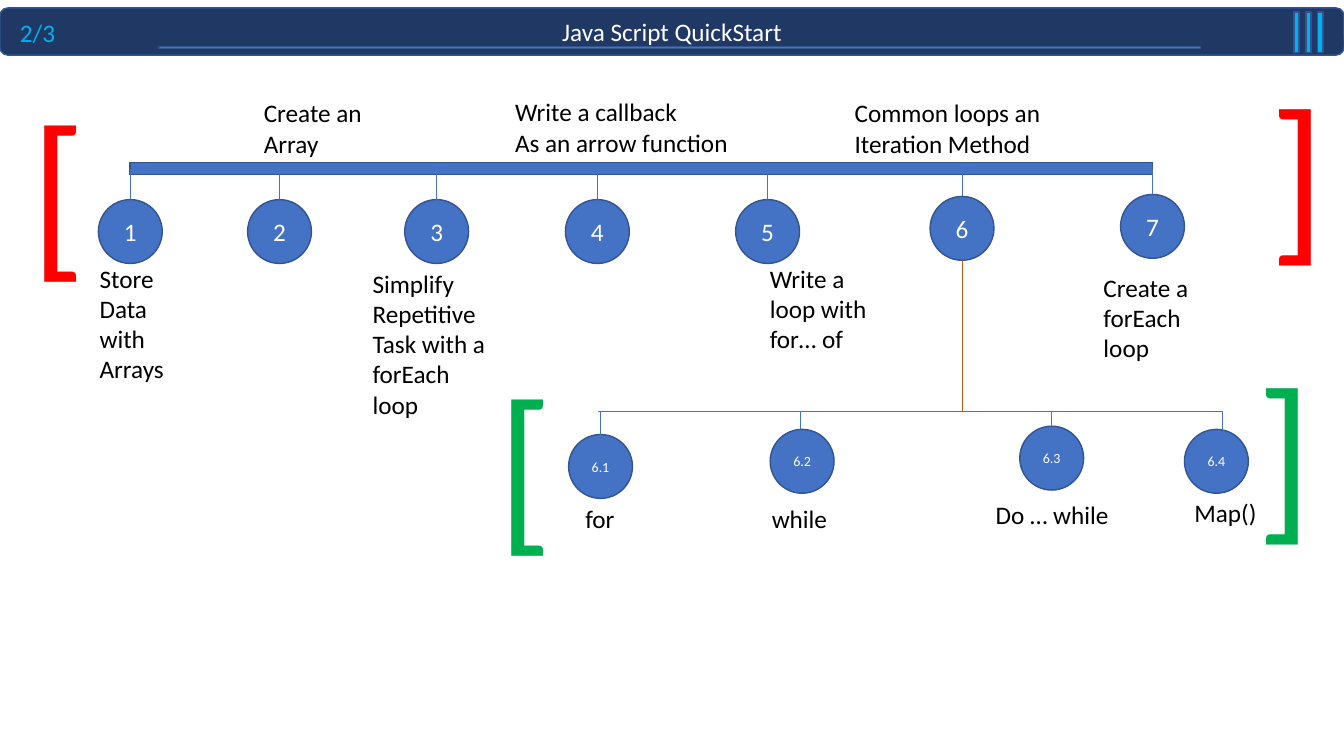
from dataclasses import dataclass

from lxml.etree import SubElement
from pptx import Presentation
from pptx.dml.color import RGBColor as RGB
from pptx.enum.shapes import MSO_CONNECTOR as CONN, MSO_SHAPE as SHAPE
from pptx.enum.text import MSO_ANCHOR as ANCHOR, MSO_AUTO_SIZE as AUTO, PP_ALIGN as ALIGN
from pptx.oxml.ns import qn
from pptx.util import Cm, Pt


@dataclass(frozen=True)
class Theme:
    font: str = "Calibri"
    navy: str = "203864"
    blue: str = "4472C4"
    outline: str = "325491"
    cyan: str = "00B0F0"
    orange: str = "C55A11"
    red: str = "FF0000"
    green: str = "00B050"
    white: str = "FFFFFF"
    black: str = "000000"
    body: int = 18
    small: int = 10
    bracket: int = 130


T = Theme()
prs = Presentation()
prs.slide_width, prs.slide_height = Cm(33.87), Cm(19.05)
s = prs.slides.add_slide(prs.slide_layouts[6])


def write(sp, text, size, color, align=ALIGN.LEFT, **frame):
    """Fill a shape with one paragraph per line; frame holds text frame settings."""
    tf = sp.text_frame
    tf.text = text
    for name, value in frame.items():
        setattr(tf, name, value)
    for p in tf.paragraphs:
        p.alignment = align
        for r in p.runs:
            for name, value in {"name": T.font, "size": Pt(size)}.items():
                setattr(r.font, name, value)
            r.font.color.rgb = RGB.from_string(color)


def add_block(kind, box, fill, text="", size=T.body):
    sp = s.shapes.add_shape(kind, *map(Cm, box))
    sp.shadow.inherit = False
    sp.fill.solid()
    sp.fill.fore_color.rgb = RGB.from_string(fill)
    sp.line.color.rgb = RGB.from_string(T.outline)
    sp.line.width = Pt(1)
    if text:
        write(sp, text, size, T.white, ALIGN.CENTER, vertical_anchor=ANCHOR.MIDDLE)


# Header
add_block(SHAPE.ROUNDED_RECTANGLE, (0, 0.2, 33.87, 1.19), T.navy, "Java Script QuickStart")
add_block(SHAPE.RECTANGLE, (4.01, 1.17, 26.24, 0.05), T.blue)
for i in range(3):
    add_block(SHAPE.RECTANGLE, (32.61 + 0.3 * i, 0.3, 0.13, 1.02), T.cyan)

# Timeline: steps hang from the bar, loop kinds hang from the branch under step 6
DIAMETER = 1.61
BAR_Y, BRANCH_Y = 4.25, 10.36
steps = [(2.48, 5.03), (6.24, 5.03), (10.2, 5.03), (14.25, 5.03),
         (18.54, 5.03), (23.44, 4.95), (28.24, 4.9)]
loop_kinds = [(14.33, 10.95, 15.14), (19.41, 10.82, 20.17),
              (25.7, 10.74, 26.5), (29.85, 10.82, 30.81)]

add_block(SHAPE.RECTANGLE, (3.28, 4.1, 25.76, 0.3), T.blue)
lines = [(15.06, BRANCH_Y, 30.81, BRANCH_Y, T.blue),
         (24.26, 6.55, 24.26, BRANCH_Y, T.orange)]
for n, (x, y) in enumerate(steps, 1):
    add_block(SHAPE.OVAL, (x, y, DIAMETER, DIAMETER), T.blue, str(n))
    stem_x = x + DIAMETER / 2
    lines.append((stem_x, BAR_Y, stem_x, y, T.blue))
for n, (x, y, stem_x) in enumerate(loop_kinds, 1):
    add_block(SHAPE.OVAL, (x, y, DIAMETER, DIAMETER), T.blue, f"6.{n}", T.small)
    lines.append((stem_x, BRANCH_Y, stem_x, y, T.blue))

for *ends, color in lines:
    line = s.shapes.add_connector(CONN.STRAIGHT, *map(Cm, ends))
    line.line.color.rgb = RGB.from_string(color)
    line.line.width = Pt(0.5)
    SubElement(line._element.spPr, qn("a:effectLst"))

# Labels: text, left, top, width, height, wrap, colour
labels = [
    ("2/3", 0.25, 0.3, 1.42, 1.02, False, T.cyan),
    ("Store Data with\nArrays", 2.26, 6.5, 2.51, 3.33, True, T.black),
    ("Create an Array", 6.4, 2.34, 3.43, 1.8, True, T.black),
    ("Simplify Repetitive\nTask with a forEach loop", 9.14, 6.63, 3.43, 4.11, True, T.black),
    ("Write a callback\nAs an arrow function", 12.73, 2.31, 5.94, 1.8, False, T.black),
    ("Write a loop with for… of", 19.15, 6.5, 3.43, 2.57, True, T.black),
    ("Common loops an\nIteration Method", 21.29, 2.34, 5.82, 1.8, True, T.black),
    ("Create a forEach\nloop", 27.56, 6.73, 2.69, 2.57, True, T.black),
    ("for", 14.5, 12.57, 1.24, 1.02, False, T.black),
    ("while", 19.2, 12.55, 1.93, 1.02, False, T.black),
    ("Do … while", 24.84, 12.45, 3.4, 1.02, False, T.black),
    ("Map()", 29.85, 12.4, 2.67, 1.02, True, T.black),
]
for text, *box, wrap, color in labels:
    sp = s.shapes.add_textbox(*map(Cm, box))
    write(sp, text, T.body, color, word_wrap=wrap, auto_size=AUTO.SHAPE_TO_FIT_TEXT)

# Brackets: the closing ones are turned half round
brackets = [(0.53, 1.78, 0, T.red), (30.66, 2.29, 180, T.red),
            (12.29, 8.69, 0, T.green), (30.33, 9.3, 180, T.green)]
for x, y, turn, color in brackets:
    sp = s.shapes.add_textbox(Cm(x), Cm(y), Cm(3), Cm(5.82))
    sp.rotation = turn
    write(sp, "[", T.bracket, color, word_wrap=True, auto_size=AUTO.SHAPE_TO_FIT_TEXT)

prs.save("out.pptx")
